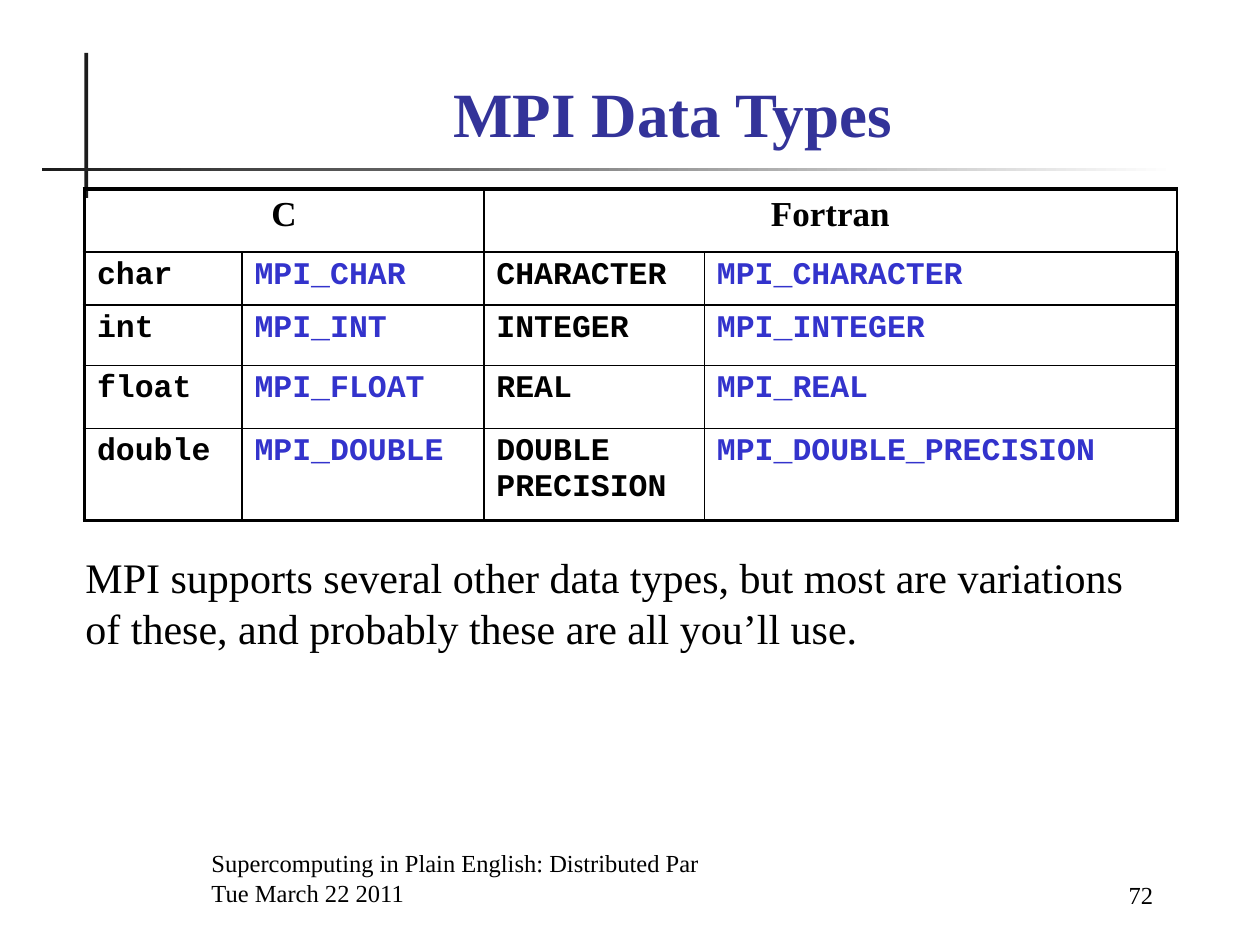
"""Build the slide on MPI data types in C and Fortran."""
from dataclasses import dataclass

from lxml import etree
from pptx import Presentation
from pptx.dml.color import RGBColor
from pptx.enum import shapes, text
from pptx.oxml import ns
from pptx.util import Inches, Pt


@dataclass(frozen=True)
class Theme:
    serif: str = "Times New Roman"
    mono: str = "Courier New"
    ink: str = "000000"
    title: str = "333399"
    mpi: str = "3333CC"
    rule: str = "1C1C1C"
    paper: str = "FFFFFF"
    title_size: int = 36
    body_size: int = 24
    header_size: int = 20
    code_size: int = 18
    footer_size: int = 14
    outer_line: float = 2.25
    inner_line: float = 1


@dataclass(frozen=True)
class Box:
    left: float
    top: float
    width: float
    height: float

    def lengths(self) -> tuple:
        return tuple(map(Inches, (self.left, self.top, self.width, self.height)))


@dataclass(frozen=True)
class Style:
    size: int
    color: str
    font: str
    bold: bool = False
    align: text.PP_ALIGN = text.PP_ALIGN.LEFT


@dataclass(frozen=True)
class Note:
    words: str
    box: Box
    style: Style
    anchor: text.MSO_ANCHOR


THEME = Theme()
TITLE = Style(THEME.title_size, THEME.title, THEME.serif, True, text.PP_ALIGN.CENTER)
HEADER = Style(THEME.header_size, THEME.ink, THEME.serif, True, text.PP_ALIGN.CENTER)
NATIVE_TYPE = Style(THEME.code_size, THEME.ink, THEME.mono, True)
MPI_TYPE = Style(THEME.code_size, THEME.mpi, THEME.mono, True)
BODY = Style(THEME.body_size, THEME.ink, THEME.serif)
FOOTER = Style(THEME.footer_size, THEME.ink, THEME.serif)
PAGE = Style(THEME.footer_size, THEME.ink, THEME.serif, align=text.PP_ALIGN.RIGHT)

LANGUAGES = ("C", "Fortran")
DATA_TYPES = (
    ("char", "MPI_CHAR", "CHARACTER", "MPI_CHARACTER"),
    ("int", "MPI_INT", "INTEGER", "MPI_INTEGER"),
    ("float", "MPI_FLOAT", "REAL", "MPI_REAL"),
    ("double", "MPI_DOUBLE", "DOUBLE PRECISION", "MPI_DOUBLE_PRECISION"),
)
COLUMN_WIDTHS = (1.25, 1.92, 1.75, 3.75)
ROW_HEIGHTS = (0.5, 0.42, 0.48, 0.5, 0.73)
TABLE_BOX = Box(0.67, 1.5, sum(COLUMN_WIDTHS), sum(ROW_HEIGHTS))
TITLE_BOX = Box(1.08, 0.5, 8.52, 0.74)
VERTICAL_RULE = Box(0.67, 0.42, 0.03, 1.15)
HORIZONTAL_RULE = Box(0.33, 1.33, 9, 0.03)
NOTES = (
    Note("72", Box(7.83, 6.77, 1.42, 0.5), PAGE, text.MSO_ANCHOR.BOTTOM),
    Note("MPI supports several other data types, but most are variations of these, "
         "and probably these are all you’ll use.",
         Box(0.58, 4.33, 8.75, 0.9), BODY, text.MSO_ANCHOR.TOP),
    Note("Supercomputing in Plain English: Distributed Par\nTue March 22 2011",
         Box(1.58, 6.75, 6.08, 0.5), FOOTER, text.MSO_ANCHOR.BOTTOM),
)


def write(frame, words: str, style: Style) -> None:
    """Fill a text frame and format its runs."""
    frame.text = words
    for paragraph in frame.paragraphs:
        paragraph.alignment = style.align
        for run in paragraph.runs:
            run.font.name = style.font
            run.font.size = Pt(style.size)
            run.font.bold = style.bold
            run.font.color.rgb = RGBColor.from_string(style.color)


def add_rule(slide, box: Box, fades: bool) -> None:
    """Draw a thin bar, solid or fading to the paper colour."""
    bar = slide.shapes.add_shape(shapes.MSO_SHAPE.RECTANGLE, *box.lengths())
    bar.shadow.inherit = False
    bar.line.fill.background()
    if fades:
        bar.fill.gradient()
        bar.fill.gradient_angle = 0
        for stop, color in zip(bar.fill.gradient_stops, (THEME.rule, THEME.paper)):
            stop.color.rgb = RGBColor.from_string(color)
    else:
        bar.fill.solid()
        bar.fill.fore_color.rgb = RGBColor.from_string(THEME.rule)


def add_title(slide, words: str) -> None:
    """Place and format the slide title."""
    heading = slide.shapes.title
    heading.left, heading.top, heading.width, heading.height = TITLE_BOX.lengths()
    heading.text_frame.auto_size = text.MSO_AUTO_SIZE.NONE
    heading.text_frame.vertical_anchor = text.MSO_ANCHOR.BOTTOM
    write(heading.text_frame, words, TITLE)


def add_note(slide, note: Note) -> None:
    """Add a wrapped text box."""
    frame = slide.shapes.add_textbox(*note.box.lengths()).text_frame
    frame.word_wrap = True
    frame.vertical_anchor = note.anchor
    write(frame, note.words, note.style)


def set_borders(cell, outer_sides: dict) -> None:
    """Give a cell heavy lines on the outer sides and thin ones elsewhere."""
    properties = cell._tc.get_or_add_tcPr()
    for side, is_outer in outer_sides.items():
        width = Pt(THEME.outer_line if is_outer else THEME.inner_line)
        line = etree.SubElement(properties, ns.qn(f"a:ln{side}"), w=str(width))
        fill = etree.SubElement(line, ns.qn("a:solidFill"))
        etree.SubElement(fill, ns.qn("a:srgbClr"), val=THEME.ink)


def add_type_table(slide) -> None:
    """Add the table that pairs native types with MPI types."""
    last_row, last_column = len(ROW_HEIGHTS) - 1, len(COLUMN_WIDTHS) - 1
    table = slide.shapes.add_table(
        last_row + 1, last_column + 1, *TABLE_BOX.lengths()).table
    table.first_row = table.horz_banding = False
    for column, width in zip(table.columns, COLUMN_WIDTHS):
        column.width = Inches(width)
    for r, height in enumerate(ROW_HEIGHTS):
        table.rows[r].height = Inches(height)
        for c in range(last_column + 1):
            cell = table.cell(r, c)
            set_borders(cell, {"L": c == 0, "R": c == last_column,
                               "T": r == 0, "B": r == last_row})
            cell.fill.background()
    for index, language in enumerate(LANGUAGES):
        header = table.cell(0, 2 * index)
        header.merge(table.cell(0, 2 * index + 1))
        write(header.text_frame, language, HEADER)
    for r, names in enumerate(DATA_TYPES, start=1):
        for c, name in enumerate(names):
            write(table.cell(r, c).text_frame, name, MPI_TYPE if c % 2 else NATIVE_TYPE)


def main() -> None:
    """Build and save the presentation."""
    deck = Presentation()
    deck.slide_width, deck.slide_height = Inches(10), Inches(7.5)
    slide = deck.slides.add_slide(deck.slide_layouts.get_by_name("Title Only"))
    add_rule(slide, VERTICAL_RULE, fades=False)
    add_rule(slide, HORIZONTAL_RULE, fades=True)
    add_title(slide, "MPI Data Types")
    add_type_table(slide)
    for note in NOTES:
        add_note(slide, note)
    deck.save("out.pptx")


if __name__ == "__main__":
    main()
